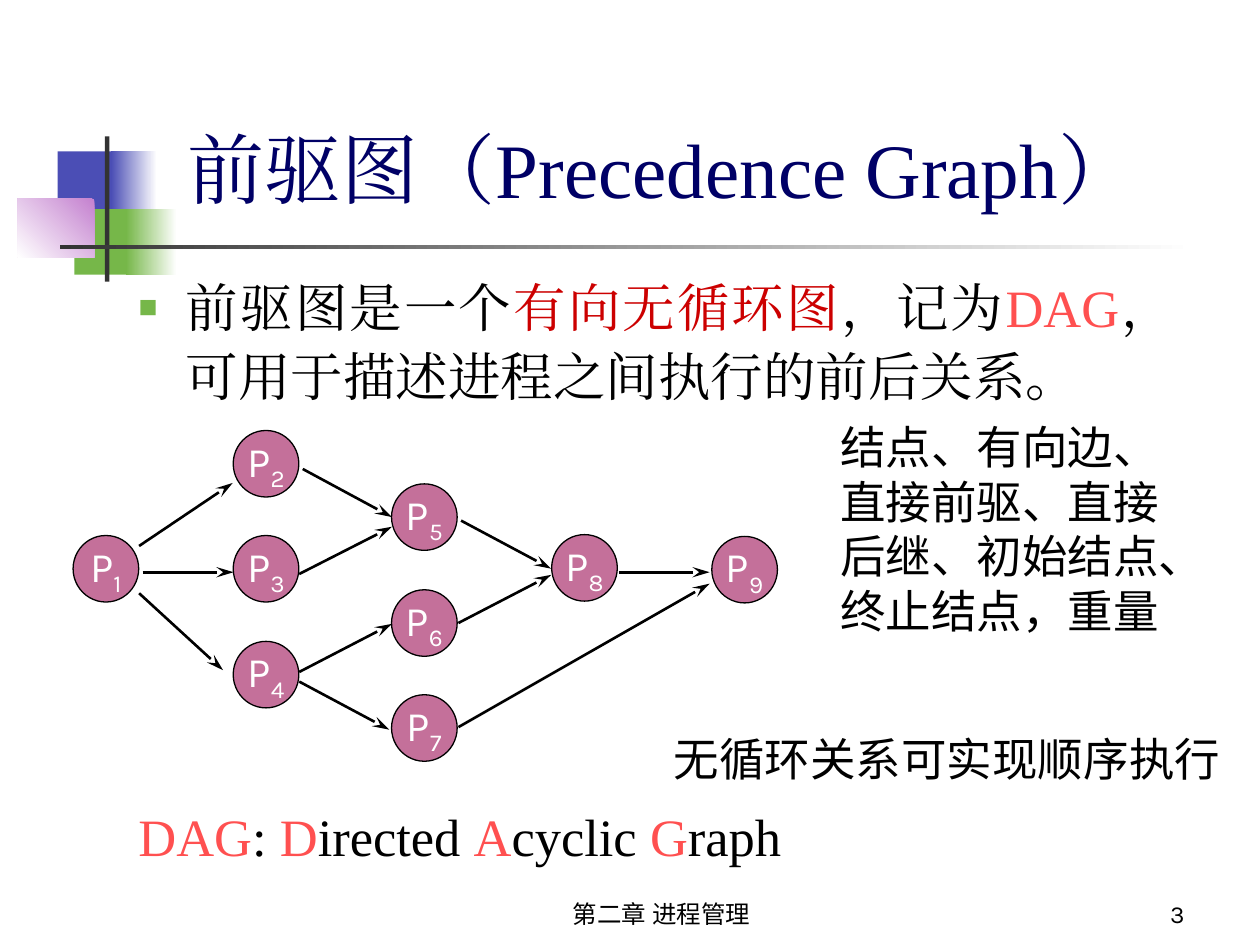
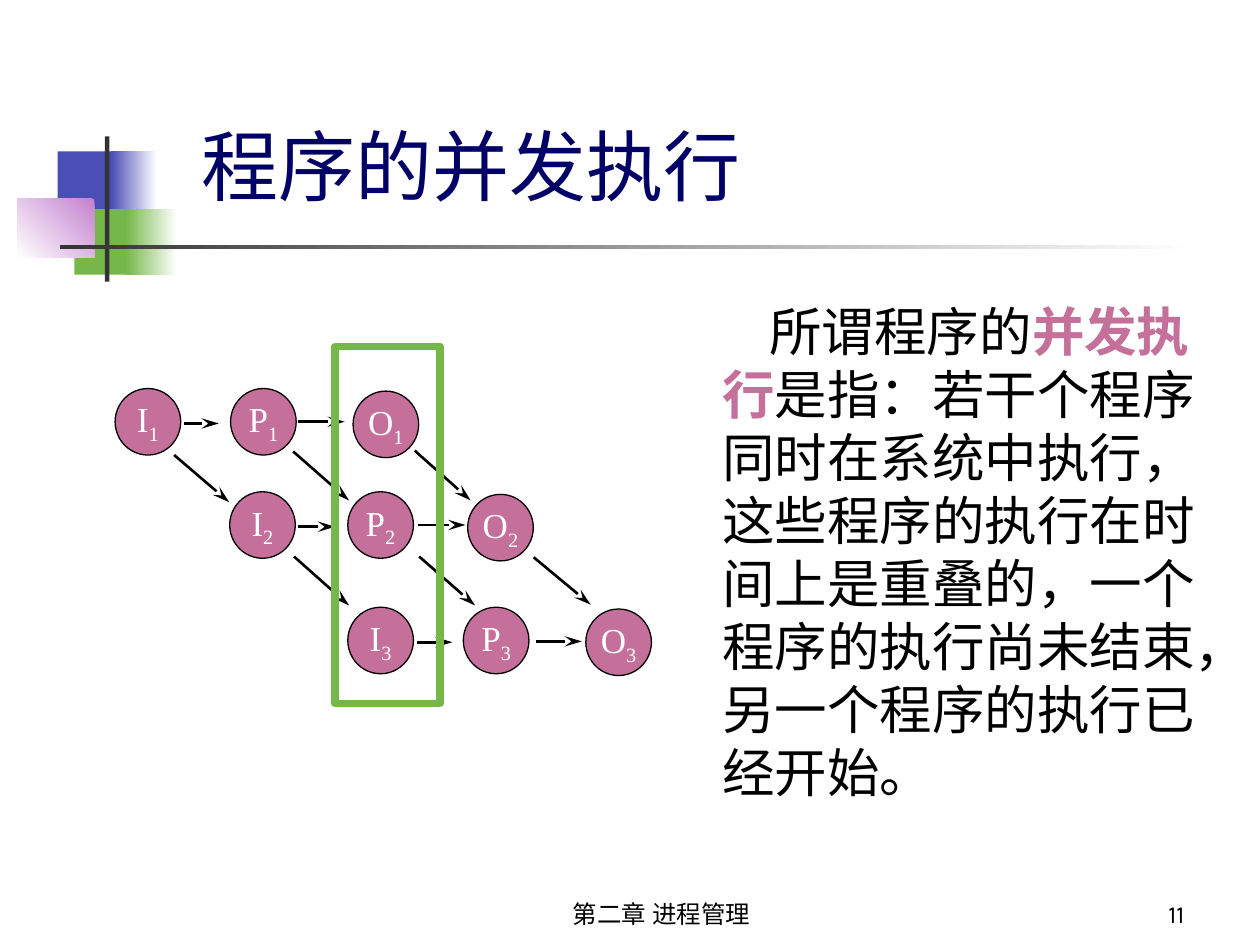
from dataclasses import dataclass

from lxml.etree import SubElement
from pptx import Presentation
from pptx.dml.color import RGBColor
from pptx.enum.shapes import MSO_CONNECTOR, MSO_SHAPE
from pptx.enum.text import MSO_ANCHOR as Anchor, MSO_AUTO_SIZE, PP_ALIGN as Align
from pptx.oxml.ns import qn
from pptx.util import Pt


@dataclass(frozen=True)
class Theme:
    navy: str = "000066"
    blue: str = "4B4EB5"
    green: str = "76B749"
    lilac: str = "C481CF"
    rose: str = "C4709A"
    red: str = "CC0000"
    coral: str = "FF5050"
    grey: str = "333333"
    black: str = "000000"
    white: str = "FFFFFF"
    serif: str = "Times New Roman"
    sans: str = "Karla"
    narrow: str = "Arial Narrow"
    chinese: str = "Noto Sans CJK SC"
    title: int = 44
    body: int = 30
    aside: int = 26
    footer: int = 14


theme = Theme()
CORAL = {"color": theme.coral}

# Shared decoration: place, fill colours (two make a gradient), angle
BANDS = [
    ((33, 86.5, 34.5, 37.5), [theme.blue], 0),
    ((63.5, 86.5, 26, 37.5), [theme.white, theme.blue], 180),
    ((42.5, 119.5, 33, 37.5), [theme.green], 0),
    ((72, 119.5, 29, 37.5), [theme.white, theme.green], 180),
    ((10, 113.5, 44, 33.5), [theme.lilac, theme.white], 225),
    ((60, 78, 2.5, 83), [theme.grey], 0),
    ((34.5, 140, 648, 2.5), [theme.white, theme.grey], 180),
]
FOOTER = "第二章 进程管理"

# Slide texts: runs are (text, format)
PRECEDENCE_TITLE = [("前驱图（Precedence Graph）", {})]
PRECEDENCE_BODY = [
    ("前驱图是一个", {}),
    ("有向无循环图", {"color": theme.red}),
    ("，记为", {}),
    ("DAG", CORAL),
    ("，可用于描述进程之间执行的前后关系。", {}),
]
TERMS = [("结点、有向边、直接前驱、直接后继、初始结点、终止结点，重量", {})]
ACYCLIC_NOTE = [("无循环关系可实现顺序执行", {})]
DAG_NAME = [
    ("DAG", CORAL), (": ", {}),
    ("D", CORAL), ("irected ", {}),
    ("A", CORAL), ("cyclic ", {}),
    ("G", CORAL), ("raph", {}),
]
CONCURRENT_TITLE = [("程序的并发执行", {})]
CONCURRENT_BODY = [
    ("所谓程序的", {}),
    ("并发执行", {"color": theme.rose, "bold": True}),
    ("是指：若干个程序同时在系统中执行，这些程序的执行在时间上是重叠的，"
     "一个程序的执行尚未结束，另一个程序的执行已经开始。", {}),
]

# Graphs: node centres, and edges with the offsets of both ends from the centres
PRECEDENCE_NODES = {
    "P1": (60.5, 325), "P2": (152, 265), "P3": (152, 325), "P4": (152, 385.5),
    "P5": (242.5, 295.5), "P6": (242.5, 356), "P7": (242.5, 416),
    "P8": (334, 324.5), "P9": (425.5, 325.5),
}
PRECEDENCE_EDGES = [
    ("P1", "P2", (19, -13), (-19, 11)),
    ("P1", "P3", (21, 2), (-18.5, 2)),
    ("P1", "P4", (19, 14), (-24.5, -2.5)),
    ("P2", "P5", (21, 3), (-18.5, 0)),
    ("P3", "P5", (19, 3), (-18.5, 5.5)),
    ("P4", "P6", (19, -1.5), (-18.5, 0.5)),
    ("P4", "P7", (19, 4), (-20, 1)),
    ("P5", "P8", (21, 2), (-19, 0.5)),
    ("P6", "P8", (19.5, 0), (-19, 4)),
    ("P7", "P9", (19.5, -0.5), (-20, 8)),
    ("P8", "P9", (20, 2.5), (-20, 1.5)),
]
CONCURRENT_NODES = {
    "I1": (84.5, 241), "P1": (150.5, 241), "O1": (220.5, 242.5),
    "I2": (150, 300), "P2": (217.5, 300), "O2": (286, 301.5),
    "I3": (217.5, 366), "P3": (283.5, 366), "O3": (353.5, 367),
}
CONCURRENT_EDGES = [
    ("I1", "P1", (20.5, 1), (-25.5, 1)),
    ("P1", "O1", (20, 0), (-23.5, -1.5)),
    ("I2", "P2", (20.5, 1), (-26, 1)),
    ("P2", "O2", (21.5, 0), (-20, -1.5)),
    ("I3", "P3", (21, 1), (-25, 1)),
    ("P3", "O3", (23, 0.5), (-21, -0.5)),
    ("I1", "I2", (15, 19), (-19, -13)),
    ("I2", "I3", (18, 18), (-18, -20)),
    ("P1", "P2", (17, 17), (-18, -14)),
    ("O1", "O2", (16.5, 15), (-17, -15.5)),
    ("P2", "P3", (22, 18), (-12, -20)),
    ("O2", "O3", (19, 17), (-16, -21.5)),
]
NODE_WIDTH, NODE_HEIGHT = 37.5, 38


def rgb(color):
    return RGBColor.from_string(color)


def place(shape, area):
    shape.left, shape.top, shape.width, shape.height = map(Pt, area)


def write_text(shape, runs, *, size, font, color=theme.black, align=Align.LEFT,
               anchor=Anchor.TOP, wrap=True, leading=None, hanging=0, indent=0,
               bullet=None, top=3.6):
    """Fill a shape with one paragraph; each run may override the format."""
    frame = shape.text_frame
    frame.auto_size = MSO_AUTO_SIZE.NONE
    frame.word_wrap = wrap
    frame.vertical_anchor = anchor
    frame.margin_left = frame.margin_right = Pt(7.2)
    frame.margin_top, frame.margin_bottom = Pt(top), Pt(3.6)
    para = frame.paragraphs[0]
    para.alignment = align
    para.space_before = Pt(0)
    if leading:
        para.line_spacing = Pt(leading)
    props = para._p.get_or_add_pPr()
    props.set("marL", str(Pt(hanging)))
    props.set("indent", str(Pt(indent)))
    if bullet:
        tint = SubElement(props, qn("a:buClr"))
        SubElement(tint, qn("a:srgbClr"), val=theme.green)
        SubElement(props, qn("a:buSzPct"), val="60000")
        SubElement(props, qn("a:buChar"), char=bullet)
    else:
        SubElement(props, qn("a:buNone"))
    for text, override in runs:
        span = para.add_run()
        span.text = text
        span.font.size = Pt(size)
        span.font.name = font
        span.font.bold = override.get("bold", False)
        span.font.color.rgb = rgb(override.get("color", color))
        span_props = span._r.get_or_add_rPr()
        SubElement(span_props, qn("a:ea"), typeface=font)
        if "baseline" in override:
            span_props.set("baseline", str(override["baseline"]))


def add_text(page, area, runs, **style):
    box = page.shapes.add_textbox(*map(Pt, area))
    write_text(box, runs, **style)


def add_block(page, kind, area, fills=(), angle=0, line=None, weight=0.75):
    block = page.shapes.add_shape(kind, *map(Pt, area))
    block.shadow.inherit = False
    if len(fills) == 2:
        block.fill.gradient()
        block.fill.gradient_angle = angle
        for stop, color in zip(block.fill.gradient_stops, fills):
            stop.color.rgb = rgb(color)
    elif fills:
        block.fill.solid()
        block.fill.fore_color.rgb = rgb(fills[0])
    else:
        block.fill.background()
    if line:
        block.line.color.rgb = rgb(line)
        block.line.width = Pt(weight)
    else:
        block.line.fill.background()
    return block


def add_arrow(page, start, end):
    arrow = page.shapes.add_connector(MSO_CONNECTOR.STRAIGHT, *map(Pt, start + end))
    arrow.line.color.rgb = rgb(theme.black)
    arrow.line.width = Pt(1.5)
    SubElement(arrow.line._get_or_add_ln(), qn("a:tailEnd"),
               type="stealth", w="med", len="lg")
    SubElement(arrow._element.spPr, qn("a:effectLst"))


def add_graph(page, nodes, edges, size, font):
    for name, (x, y) in nodes.items():
        area = (x - NODE_WIDTH / 2, y - NODE_HEIGHT / 2, NODE_WIDTH, NODE_HEIGHT)
        node = add_block(page, MSO_SHAPE.OVAL, area, [theme.rose], line=theme.black)
        write_text(node, [(name[0], {}), (name[1], {"baseline": -25000})],
                   size=size, font=font, color=theme.white, align=Align.CENTER,
                   anchor=Anchor.MIDDLE, wrap=False)
    for source, target, leave, arrive in edges:
        start = tuple(c + d for c, d in zip(nodes[source], leave))
        end = tuple(c + d for c, d in zip(nodes[target], arrive))
        add_arrow(page, start, end)


def add_page(deck, title, title_area, title_font, body_area, number):
    """Add a slide with its title and footer; return it with its body."""
    page = deck.slides.add_slide(deck.slide_layouts[1])
    heading, body = page.placeholders
    place(heading, title_area)
    place(body, body_area)
    write_text(heading, title, size=theme.title, font=title_font, color=theme.navy,
               anchor=Anchor.BOTTOM, leading=53)
    footer = {"size": theme.footer, "font": theme.sans, "anchor": Anchor.BOTTOM}
    add_text(page, (264, 498, 228, 36), [(FOOTER, {})], align=Align.CENTER, **footer)
    add_text(page, (534, 498, 150, 36), [(number, {})], align=Align.RIGHT, **footer)
    return page, body


def add_bands(deck, page):
    """Draw the decoration and move it to the master that all slides share."""
    tree = deck.slide_master.shapes.element
    for area, fills, angle in BANDS:
        tree.append(add_block(page, MSO_SHAPE.RECTANGLE, area, fills, angle).element)


def main():
    deck = Presentation()
    deck.slide_width, deck.slide_height = Pt(720), Pt(540)

    # Precedence graph
    page, body = add_page(deck, PRECEDENCE_TITLE, (100, 60.5, 559.5, 65.5),
                          theme.serif, (72, 150, 606, 99), "3")
    write_text(body, PRECEDENCE_BODY, size=theme.body, font=theme.serif,
               align=Align.JUSTIFY, leading=39.5, hanging=27, indent=-27, bullet="■")
    add_graph(page, PRECEDENCE_NODES, PRECEDENCE_EDGES, 24, theme.sans)
    aside = {"size": theme.aside, "font": theme.narrow, "leading": 31.2}
    add_text(page, (473, 236, 215, 132.5), TERMS, **aside)
    add_text(page, (72, 456, 389, 43), DAG_NAME, size=theme.body, font=theme.serif,
             wrap=False)
    add_text(page, (378, 414, 327, 39), ACYCLIC_NOTE, wrap=False, **aside)

    # Concurrent execution
    page, body = add_page(deck, CONCURRENT_TITLE, (108, 49, 596, 75),
                          theme.chinese, (405.5, 163.5, 299.5, 319), "11")
    write_text(body, CONCURRENT_BODY, size=theme.body, font=theme.chinese,
               leading=36, indent=27, top=7.5)
    add_graph(page, CONCURRENT_NODES, CONCURRENT_EDGES, 20, theme.serif)
    add_block(page, MSO_SHAPE.RECTANGLE, (191.5, 198, 60, 204),
              line=theme.green, weight=4.5)

    add_bands(deck, page)
    deck.save("out.pptx")


if __name__ == "__main__":
    main()
